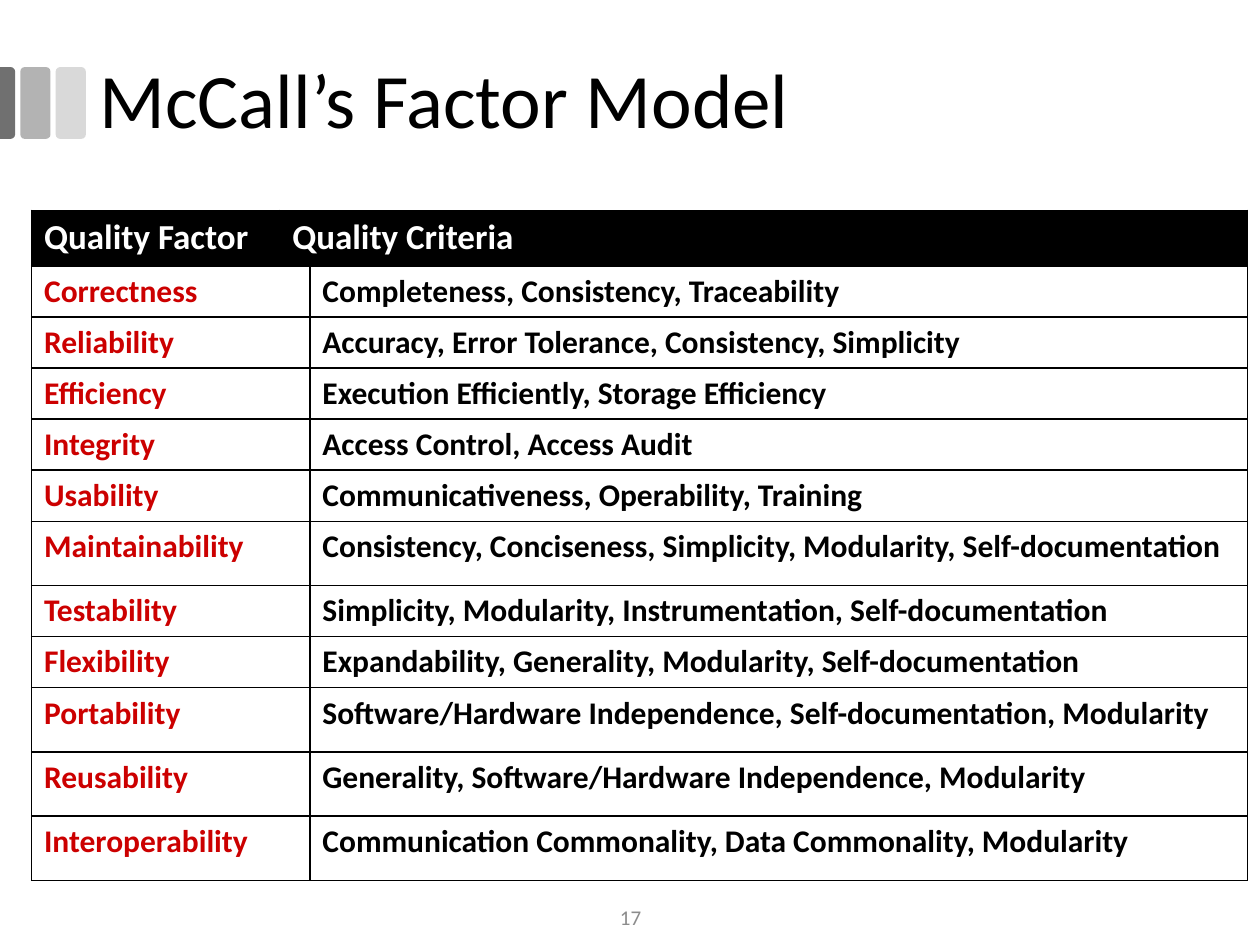
from dataclasses import dataclass

from lxml import etree
from pptx import Presentation
from pptx import util as u
from pptx.dml.color import RGBColor
from pptx.enum import shapes, text
from pptx.oxml import ns


@dataclass(frozen=True)
class Theme:
    font: str = "Calibri"
    ink: str = "000000"
    paper: str = "FFFFFF"
    factor: str = "CC0000"
    muted: str = "8C8C8C"
    bars: tuple = ("707070", "B3B3B3", "D9D9D9")
    title: int = 44
    header: int = 20
    body: int = 18
    number: int = 12
    border: int = 1


THEME = Theme()
WIDTH, HEIGHT = u.Inches(10), u.Inches(7.5)
SHORT, TALL = 0.4, 0.51
HEADINGS = ("Quality Factor", "Quality Criteria")
FACTORS = (
    ("Correctness", "Completeness, Consistency, Traceability", SHORT),
    ("Reliability", "Accuracy, Error Tolerance, Consistency, Simplicity", SHORT),
    ("Efficiency", "Execution Efficiently, Storage Efficiency", SHORT),
    ("Integrity", "Access Control, Access Audit", SHORT),
    ("Usability", "Communicativeness, Operability, Training", SHORT),
    ("Maintainability", "Consistency, Conciseness, Simplicity, Modularity, Self-documentation", TALL),
    ("Testability", "Simplicity, Modularity, Instrumentation, Self-documentation", SHORT),
    ("Flexibility", "Expandability, Generality, Modularity, Self-documentation", SHORT),
    ("Portability", "Software/Hardware Independence, Self-documentation, Modularity", TALL),
    ("Reusability", "Generality, Software/Hardware Independence, Modularity", TALL),
    ("Interoperability", "Communication Commonality, Data Commonality, Modularity", TALL),
)


def share(left, top, width, height):
    return tuple(int(part / 100 * side) for part, side in
                 zip((left, top, width, height), (WIDTH, HEIGHT) * 2))


def write(frame, words, size, color, bold=False):
    frame.text = words
    paragraph = frame.paragraphs[0]
    font = paragraph.runs[0].font
    font.name, font.size, font.bold = THEME.font, u.Pt(size), bold
    font.color.rgb = RGBColor.from_string(color)
    return paragraph


def place_bars(slide, box):
    left, top, width, height = box
    pitch, bar = int(width * 0.41), int(width * 0.35)
    cut = bar // 2
    middle = left + cut // 2
    kinds = shapes.MSO_SHAPE
    edge = slide.shapes.add_shape(
        kinds.ROUND_2_SAME_RECTANGLE,
        middle - height // 2, top + (height - cut) // 2, height, cut)
    edge.rotation = 90
    edge.adjustments[0], edge.adjustments[1] = 0.29, 0
    bars = [edge]
    for step in (1, 2):
        full = slide.shapes.add_shape(
            kinds.ROUNDED_RECTANGLE,
            left + cut - bar + step * pitch, top, bar, height)
        full.adjustments[0] = 0.15
        bars.append(full)
    for part, color in zip(bars, THEME.bars):
        part.shadow.inherit = False
        part.fill.solid()
        part.fill.fore_color.rgb = RGBColor.from_string(color)
        part.line.fill.background()


def place_title(slide, box, words):
    title = slide.shapes.title
    title.left, title.top, title.width, title.height = box
    title.text_frame.vertical_anchor = text.MSO_ANCHOR.MIDDLE
    paragraph = write(title.text_frame, words, THEME.title, THEME.ink)
    paragraph.alignment = text.PP_ALIGN.LEFT
    paragraph.line_spacing = 0.9


def outline(cell):
    properties = cell._tc.get_or_add_tcPr()
    for position, side in enumerate(("lnL", "lnR", "lnT", "lnB")):
        line = etree.Element(ns.qn(f"a:{side}"), w=str(u.Pt(THEME.border)))
        fill = etree.SubElement(line, ns.qn("a:solidFill"))
        etree.SubElement(fill, ns.qn("a:srgbClr"), val=THEME.ink)
        properties.insert(position, line)


def fill_cell(cell, words, size, color, background):
    paragraph = write(cell.text_frame, words, size, color, True)
    indent = paragraph._p.get_or_add_pPr()
    indent.set("marL", str(u.Inches(0.38)))
    indent.set("indent", str(-u.Inches(0.38)))
    cell.fill.solid()
    cell.fill.fore_color.rgb = RGBColor.from_string(background)


def place_factors(slide, box):
    table = slide.shapes.add_table(len(FACTORS) + 1, 3, *box).table
    for column, width in zip(table.columns, (1.97, 0.2, 7.44)):
        column.width = u.Inches(width)
    heights = [0.44] + [height for _, _, height in FACTORS]
    for row, height in zip(table.rows, heights):
        row.height = u.Inches(height)
    for cell in table.iter_cells():
        outline(cell)

    table.cell(0, 1).merge(table.cell(0, 2))
    for column, heading in enumerate(HEADINGS):
        fill_cell(table.cell(0, column), heading, THEME.header, THEME.paper, THEME.ink)
    for row, (factor, criteria, _) in enumerate(FACTORS, 1):
        table.cell(row, 0).merge(table.cell(row, 1))
        fill_cell(table.cell(row, 0), factor, THEME.body, THEME.factor, THEME.paper)
        fill_cell(table.cell(row, 2), criteria, THEME.body, THEME.ink, THEME.paper)


def place_number(slide, box, number):
    frame = slide.shapes.add_textbox(*box).text_frame
    frame.word_wrap = True
    frame.vertical_anchor = text.MSO_ANCHOR.MIDDLE
    write(frame, number, THEME.number, THEME.muted).alignment = text.PP_ALIGN.CENTER


def main():
    deck = Presentation()
    deck.slide_width, deck.slide_height = WIDTH, HEIGHT
    slide = deck.slides.add_slide(deck.slide_layouts.get_by_name("Title Only"))
    place_bars(slide, share(0, 7.1, 6.85, 7.6))
    place_title(slide, share(6.9, 2.25, 86.2, 17.5), "McCall’s Factor Model")
    place_factors(slide, share(2.5, 22.25, 96.1, 70.25))
    place_number(slide, share(38.8, 94.4, 22.5, 5.3), "17")
    deck.save("out.pptx")


if __name__ == "__main__":
    main()
